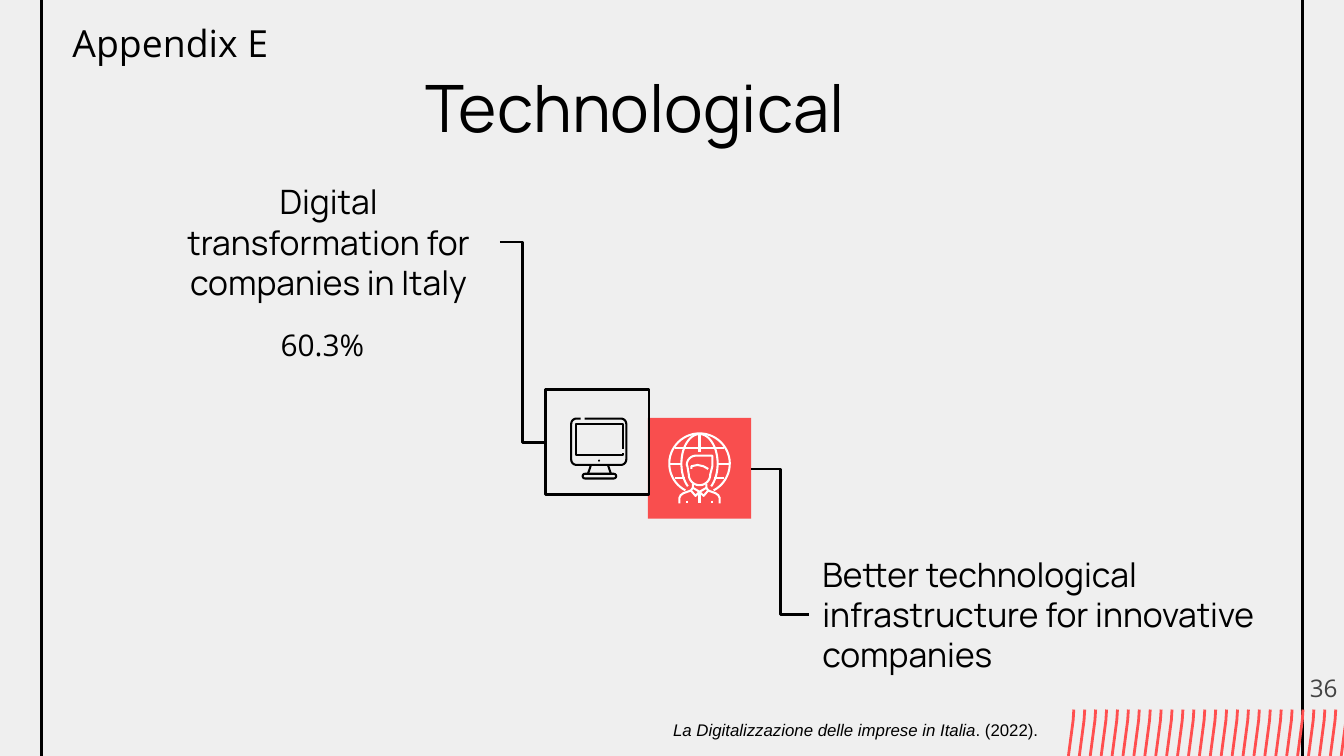
from math import cos, radians, sin

from lxml import etree
from pptx import Presentation
from pptx.dml.color import RGBColor
from pptx.enum.shapes import MSO_CONNECTOR, MSO_SHAPE
from pptx.enum.text import MSO_ANCHOR, MSO_AUTO_SIZE, PP_ALIGN
from pptx.oxml.ns import qn
from pptx.util import Pt

PX = 4572  # EMU per px, 200 px to the inch
INSET = 20
LEFT, CENTER, RIGHT = PP_ALIGN.LEFT, PP_ALIGN.CENTER, PP_ALIGN.RIGHT
TOP, MIDDLE = MSO_ANCHOR.TOP, MSO_ANCHOR.MIDDLE
RECTANGLE, ROUNDED, OVAL = MSO_SHAPE.RECTANGLE, MSO_SHAPE.ROUNDED_RECTANGLE, MSO_SHAPE.OVAL
ELBOW = MSO_CONNECTOR.ELBOW

BACKGROUND = RGBColor(0xEF, 0xEF, 0xEF)
BLACK = RGBColor(0, 0, 0)
WHITE = RGBColor(0xFF, 0xFF, 0xFF)
RED = RGBColor(0xFF, 0, 0)
CORAL = RGBColor(0xFF, 0x4F, 0x4F)
GRAY = RGBColor(0x43, 0x43, 0x43)


def px(*values):
    return [round(value * PX) for value in values]


def format_shape(shape, fill=None, line=None, width=1.5):
    shape.shadow.inherit = False
    if fill is None:
        shape.fill.background()
    else:
        shape.fill.solid()
        shape.fill.fore_color.rgb = fill
    if line is None:
        shape.line.fill.background()
    else:
        shape.line.color.rgb = line
        shape.line.width = Pt(width)


def add_box(shapes, preset, box, fill=None, line=None, width=1.5):
    shape = shapes.add_shape(preset, *px(*box))
    format_shape(shape, fill, line, width)
    return shape


def add_stroke(shapes, points, color, width=1.1, closed=False):
    """Draw an unfilled polyline."""
    start, *others = [px(*point) for point in points]
    builder = shapes.build_freeform(*start)
    builder.add_line_segments(others, close=closed)
    format_shape(builder.convert_to_shape(), line=color, width=width)


def arc(center_x, center_y, radius_x, radius_y, start, end, steps=24):
    """Points along an ellipse; angles run clockwise from the right."""
    angles = [radians(start + (end - start) * i / steps) for i in range(steps + 1)]
    return [(center_x + radius_x * cos(a), center_y + radius_y * sin(a)) for a in angles]


def add_elbow(shapes, *ends):
    connector = shapes.add_connector(ELBOW, *px(*ends))
    connector.line.color.rgb = BLACK
    connector.line.width = Pt(1.5)
    etree.SubElement(connector._element.spPr, qn("a:effectLst"))


def set_text(shape, text, size, font, color=BLACK, align=LEFT, anchor=TOP):
    frame = shape.text_frame
    frame.text = text
    frame.word_wrap = True
    frame.auto_size = MSO_AUTO_SIZE.NONE
    frame.vertical_anchor = anchor
    frame.margin_left = frame.margin_right = INSET * PX
    frame.margin_top = frame.margin_bottom = INSET * PX
    paragraph = frame.paragraphs[0]
    paragraph.alignment = align
    for run in paragraph.runs:
        run.font.size = Pt(size)
        run.font.name = font
        run.font.color.rgb = color
    return paragraph


def add_text(slide, box, *text_format, **options):
    return set_text(slide.shapes.add_textbox(*px(*box)), *text_format, **options)


def add_title(slide, box, text):
    title = slide.shapes.title
    title.left, title.top, title.width, title.height = px(*box)
    set_text(title, text, 35, "Manrope", align=CENTER)


def add_hatching(slide):
    shapes = slide.shapes.add_group_shape().shapes
    for i in range(26):
        x = 1598 + 16.24 * i
        add_stroke(shapes, [(x, 1056), (x - 1, 1072), (x - 8, 1125)], CORAL, 1.5)


def add_monitor_icon(slide):
    shapes = slide.shapes.add_group_shape().shapes
    bezel = [(870, 623)]
    for x, y, start in ((924, 631, -90), (924, 684, 0), (858, 684, 90), (858, 631, 180)):
        bezel += arc(x, y, 8, 8, start, start + 90, 6)
    add_stroke(shapes, bezel + [(864, 623)], BLACK)
    screen = [(927, 674), (927, 677), (857, 677), (857, 631), (927, 631), (927, 669)]
    add_stroke(shapes, screen, BLACK)
    add_stroke(shapes, [(879, 693), (875, 705)], BLACK)
    add_stroke(shapes, [(905, 693), (909, 705)], BLACK)
    base = add_box(shapes, ROUNDED, (867, 705, 50, 7), line=BLACK, width=1.1)
    base.adjustments[0] = 0.5
    add_box(shapes, OVAL, (890, 684, 3, 3), fill=BLACK)


def add_globe_person_icon(slide):
    shapes = slide.shapes.add_group_shape().shapes
    axis = 1041
    face = arc(axis, 706, 16, 16, 0, 180) + [(1023, 694)]
    face += arc(1036, 692, 14, 14, 180, 270, 8) + [(1060, 678), (1060, 694)]
    add_stroke(shapes, face, WHITE, closed=True)
    strokes = [
        arc(axis, 690, 45, 45, 118, 422, 48),
        arc(axis, 690, 27, 44, 130, 410, 48),
        [(axis, 646), (axis, 673)],
        [(1005, 667), (1077, 667)],
        [(1029, 698), (1029, 694), (1038, 692), (1047, 694), (1054, 698)],
        [(axis, 733), (axis, 749)],
    ]
    half_strokes = [
        [(45, 690), (26, 690)],
        [(37, 712), (21, 712)],
        [(10, 720), (10, 726), (0, 732)],
        [(10, 726), (13, 730), (6, 738), (0, 732)],
        [(13, 730), (24, 734), (28, 737), (30, 741), (30, 749)],
        [(19, 745), (19, 749)],
    ]
    for side in (-1, 1):
        strokes += [[(axis + side * x, y) for x, y in points] for points in half_strokes]
    for points in strokes:
        add_stroke(shapes, points, WHITE)


def add_source_note(slide):
    paragraph = add_text(slide, (982, 1046, 586, 70),
                         "La Digitalizzazione delle imprese in Italia", 9, "Arial")
    paragraph.line_spacing = 1.15
    paragraph.runs[0].font.italic = True
    year = paragraph.add_run()
    year.text = ". (2022)."
    year.font.size = Pt(9)
    year.font.name = "Arial"
    year.font.color.rgb = BLACK


def main():
    presentation = Presentation()
    presentation.slide_width, presentation.slide_height = px(2000, 1125)
    slide = presentation.slides.add_slide(presentation.slide_layouts[5])
    slide.background.fill.solid()
    slide.background.fill.fore_color.rgb = BACKGROUND
    shapes = slide.shapes

    add_box(shapes, RECTANGLE, (62, -20, 1876, 1180), line=BLACK)
    add_hatching(slide)
    add_title(slide, (102, 80, 1686, 126), "Technological")

    red_tile = add_box(shapes, RECTANGLE, (964, 622, 154, 150), fill=RED)
    color = red_tile._element.spPr.find(qn("a:solidFill"))[0]
    etree.SubElement(color, qn("a:alpha"), val="67000")
    add_box(shapes, RECTANGLE, (812, 580, 154, 156), line=BLACK)

    add_text(slide, (234, 314, 510, 92), "Digital transformation for companies in Italy",
             18, "Manrope", align=CENTER, anchor=MIDDLE)
    add_text(slide, (1204, 868, 696, 92),
             "Better technological infrastructure for innovative companies",
             18, "Manrope", anchor=MIDDLE)
    add_elbow(shapes, 744, 360, 812, 658)
    add_elbow(shapes, 1204, 914, 1118, 698)
    add_text(slide, (398, 466, 202, 94), "60.3%", 16, "Open Sans")

    add_monitor_icon(slide)
    add_globe_person_icon(slide)

    add_text(slide, (1890, 982, 120, 86), "36", 13, "Open Sans", color=GRAY, align=RIGHT)
    add_source_note(slide)
    add_text(slide, (88, 10, 656, 108), "Appendix E", 20, "Open Sans")
    presentation.save("out.pptx")


if __name__ == "__main__":
    main()
